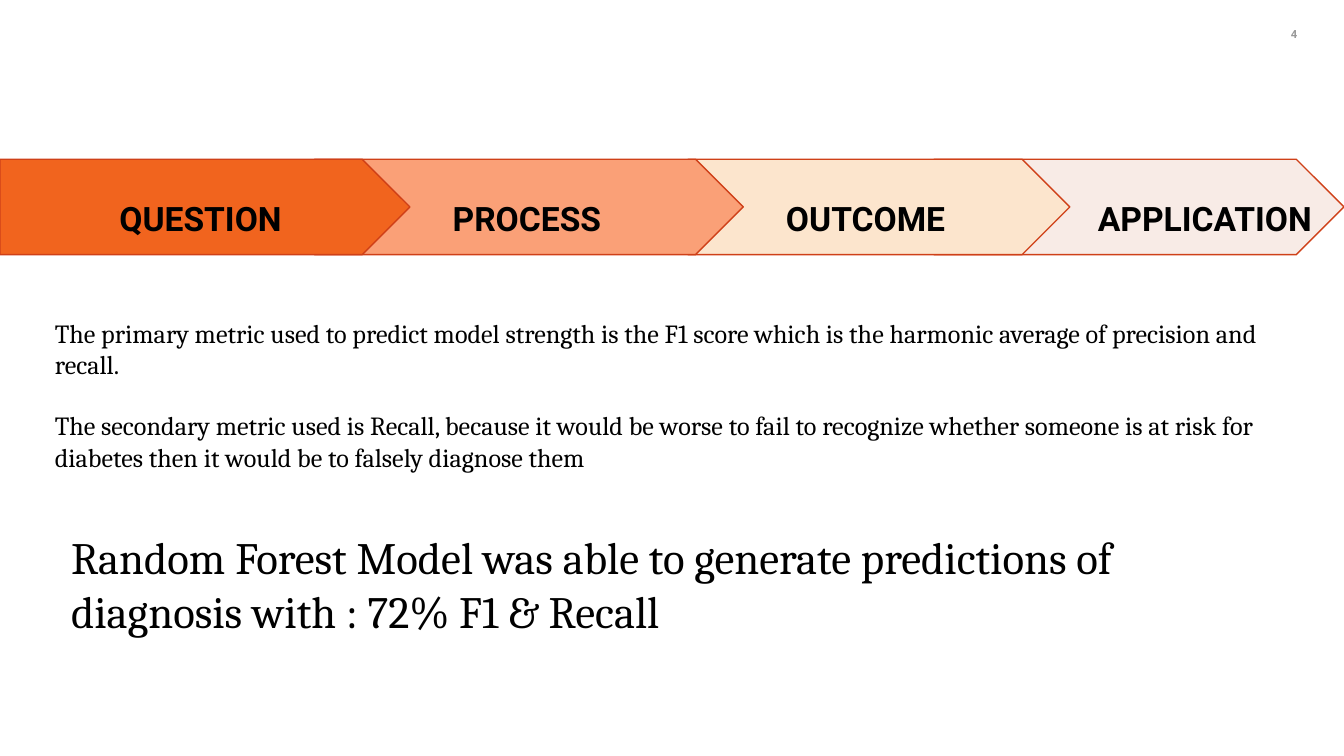
import pptx
import pptx.dml.color
import pptx.enum.shapes
import pptx.enum.text
import pptx.util

PX = 4572  # EMU in one px, 200 px to the inch

THEME = {
    "heading_font": "Roboto", "body_font": "Cambria",
    "ink": "000000", "muted": "999999", "outline": "CF4018",
    "steps": ["F1641E", "FAA077", "FCE5CD", "F8EBE6"],
    "number_size": 6, "body_size": 14, "label_size": 18, "result_size": 24,
}


def colour(name):
    return pptx.dml.color.RGBColor.from_string(name)


def add_text(page, place, lines, font, size, ink=THEME["ink"], bold=False):
    box = page.shapes.add_textbox(*[value * PX for value in place])
    frame = box.text_frame
    frame.word_wrap = True
    frame.margin_left = frame.margin_right = 20 * PX
    frame.margin_top = frame.margin_bottom = 20 * PX
    frame.text = "\n".join(lines)
    for para in frame.paragraphs:
        for span in para.runs:
            span.font.name = font
            span.font.size = pptx.util.Pt(size)
            span.font.bold = bold
            span.font.color.rgb = colour(ink)
    return frame


deck = pptx.Presentation()
deck.slide_width = 2000 * PX
deck.slide_height = 1125 * PX
page = deck.slides.add_slide(deck.slide_layouts[6])

# Page number
number = add_text(page, (1830, 0, 120, 100), ["4"], THEME["heading_font"],
                  THEME["number_size"], THEME["muted"], True)
number.vertical_anchor = pptx.enum.text.MSO_ANCHOR.MIDDLE
number.paragraphs[0].alignment = pptx.enum.text.PP_ALIGN.RIGHT

# Process arrows, the last step at the back: left, width, label, label left
steps = [
    (0, 610, "QUESTION", 158),
    (468, 638, "PROCESS", 654),
    (1024, 568, "OUTCOME", 1150),
    (1390, 610, "APPLICATION", 1614),
]
for (left, width, label, label_left), fill in reversed(list(zip(steps, THEME["steps"]))):
    arrow = page.shapes.add_shape(pptx.enum.shapes.MSO_SHAPE.PENTAGON,
                                  left * PX, 237 * PX, width * PX, 142 * PX)
    arrow.adjustments[0] = 0.5
    arrow.shadow.inherit = False
    arrow.fill.solid()
    arrow.fill.fore_color.rgb = colour(fill)
    arrow.line.color.rgb = colour(THEME["outline"])
    arrow.line.width = pptx.util.Pt(0.75)

# Step labels
for left, width, label, label_left in steps:
    add_text(page, (label_left, 274, 380, 68), [label],
             THEME["heading_font"], THEME["label_size"], bold=True)

# Metrics
metrics = add_text(page, (62, 452, 1866, 316), [
    "The primary metric used to predict model strength is the F1 score which is "
    "the harmonic average of precision and recall.",
    "The secondary metric used is Recall, because it would be worse to fail to "
    "recognize whether someone is at risk for diabetes then it would be to "
    "falsely diagnose them",
], THEME["body_font"], THEME["body_size"])
metrics.paragraphs[1].space_before = pptx.util.Pt(16)

# Result
add_text(page, (86, 768, 1758, 252), [
    "Random Forest Model was able to generate predictions of diagnosis with : "
    "72% F1 & Recall",
], THEME["body_font"], THEME["result_size"])

deck.save("out.pptx")
